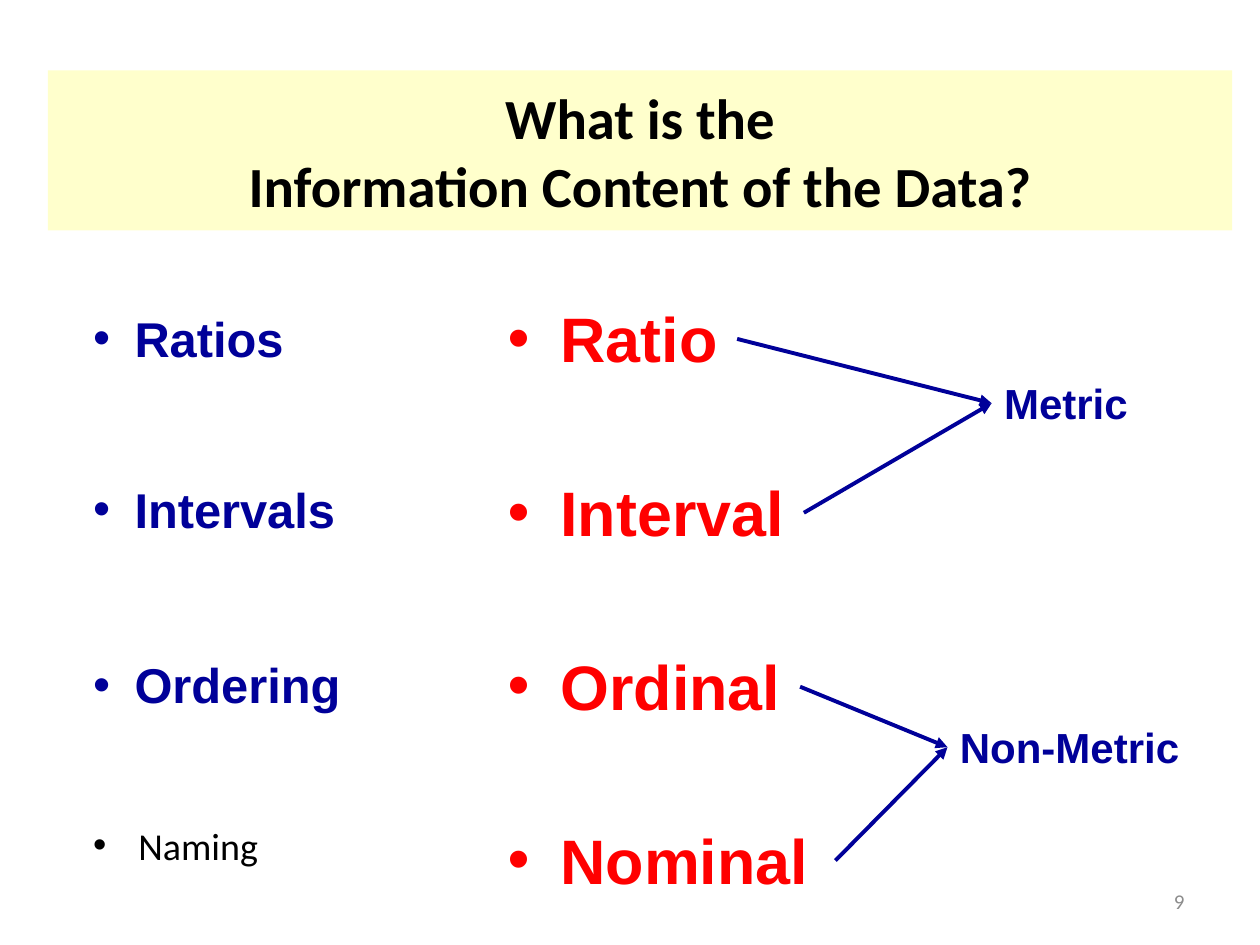
from lxml import etree
from pptx import Presentation, util as u
from pptx.dml.color import RGBColor
from pptx.enum import shapes, text
from pptx.oxml import ns

Inches = u.Inches
NAVY = RGBColor(0x00, 0x00, 0x99)
RED = RGBColor(0xFF, 0x00, 0x00)
BLACK = RGBColor(0x00, 0x00, 0x00)
GREY = RGBColor(0x8C, 0x8C, 0x8C)
CREAM = RGBColor(0xFF, 0xFF, 0xCC)


class SlideBuilder:
    def __init__(self, slide):
        self.shapes = slide.shapes

    def style(self, paragraph, size, color, font, bold):
        paragraph.font.size = u.Pt(size)
        paragraph.font.color.rgb = color
        paragraph.font.name = font
        paragraph.font.bold = bold

    def banner(self, words, left, top, width, height):
        box = self.shapes.add_shape(shapes.MSO_SHAPE.RECTANGLE, Inches(left), Inches(top),
                                    Inches(width), Inches(height))
        box.shadow.inherit = False
        box.fill.solid()
        box.fill.fore_color.rgb = CREAM
        box.line.fill.background()
        frame = box.text_frame
        frame.vertical_anchor = text.MSO_ANCHOR.MIDDLE
        heading = frame.paragraphs[0]
        heading.text = words
        heading.alignment = text.PP_ALIGN.CENTER
        self.style(heading, 32.4, BLACK, "Calibri", True)

    def label(self, words, left, top, width, height, size, color,
              font="Arial", bold=True, indent=0):
        """Add one line of text, bulleted when an indent is given."""
        frame = self.shapes.add_textbox(Inches(left), Inches(top),
                                        Inches(width), Inches(height)).text_frame
        frame.word_wrap = False
        paragraph = frame.paragraphs[0]
        paragraph.text = words
        if indent:
            properties = paragraph._p.get_or_add_pPr()
            properties.set("marL", str(Inches(indent)))
            properties.set("indent", str(-Inches(indent)))
            etree.SubElement(properties, ns.qn("a:buFont"), typeface="Arial")
            etree.SubElement(properties, ns.qn("a:buChar"), char="•")
        self.style(paragraph, size, color, font, bold)
        return frame

    def arrow(self, start, end):
        line = self.shapes.add_connector(shapes.MSO_CONNECTOR.STRAIGHT,
                                         *map(Inches, start + end))
        line.line.color.rgb = NAVY
        line.line.width = u.Pt(2.25)
        etree.SubElement(line.line._get_or_add_ln(), ns.qn("a:tailEnd"), type="triangle")
        etree.SubElement(line._element.spPr, ns.qn("a:effectLst"))


def main():
    deck = Presentation()
    deck.slide_width, deck.slide_height = Inches(10), Inches(7.5)
    builder = SlideBuilder(deck.slides.add_slide(deck.slide_layouts[6]))

    builder.banner("What is the\vInformation Content of the Data?", 0.38, 0.56, 9.4, 1.27)

    for content, top, width in (("Ratios", 2.4, 1.76), ("Intervals", 3.76, 2.17),
                                ("Ordering", 5.15, 2.21)):
        builder.label(content, 0.64, top, width, 0.57, 27.9, NAVY, indent=0.33)
    naming = builder.label("Naming", 0.64, 6.58, 2.59, 0.64, 21.7, BLACK,
                           "Calibri", False, indent=0.36)
    naming.paragraphs[0].line_spacing = 0.7

    scales = (("Ratio", 1.92), ("Interval", 2.45), ("Ordinal", 2.42), ("Nominal", 2.7))
    for row, (scale, width) in enumerate(scales):
        builder.label(scale, 3.93, 2.33 + 1.38 * row, width, 0.71, 35.9, RED, indent=0.42)

    families = (
        ("Metric", (7.87, 3.2), 1.19, ((5.85, 2.69), (6.38, 4.07))),
        ("Non-Metric", (7.52, 5.93), 1.96, ((6.35, 5.45), (6.63, 6.83))),
    )
    for family, (left, middle), width, starts in families:
        builder.label(family, left, middle - 0.25, width, 0.5, 24, NAVY)
        for start in starts:
            builder.arrow(start, (left, middle))

    number = builder.label("9", 7.17, 6.95, 2.33, 0.4, 12, GREY, "Calibri", False)
    number.word_wrap = True
    number.vertical_anchor = text.MSO_ANCHOR.MIDDLE
    number.paragraphs[0].alignment = text.PP_ALIGN.RIGHT

    deck.save("out.pptx")


if __name__ == "__main__":
    main()
